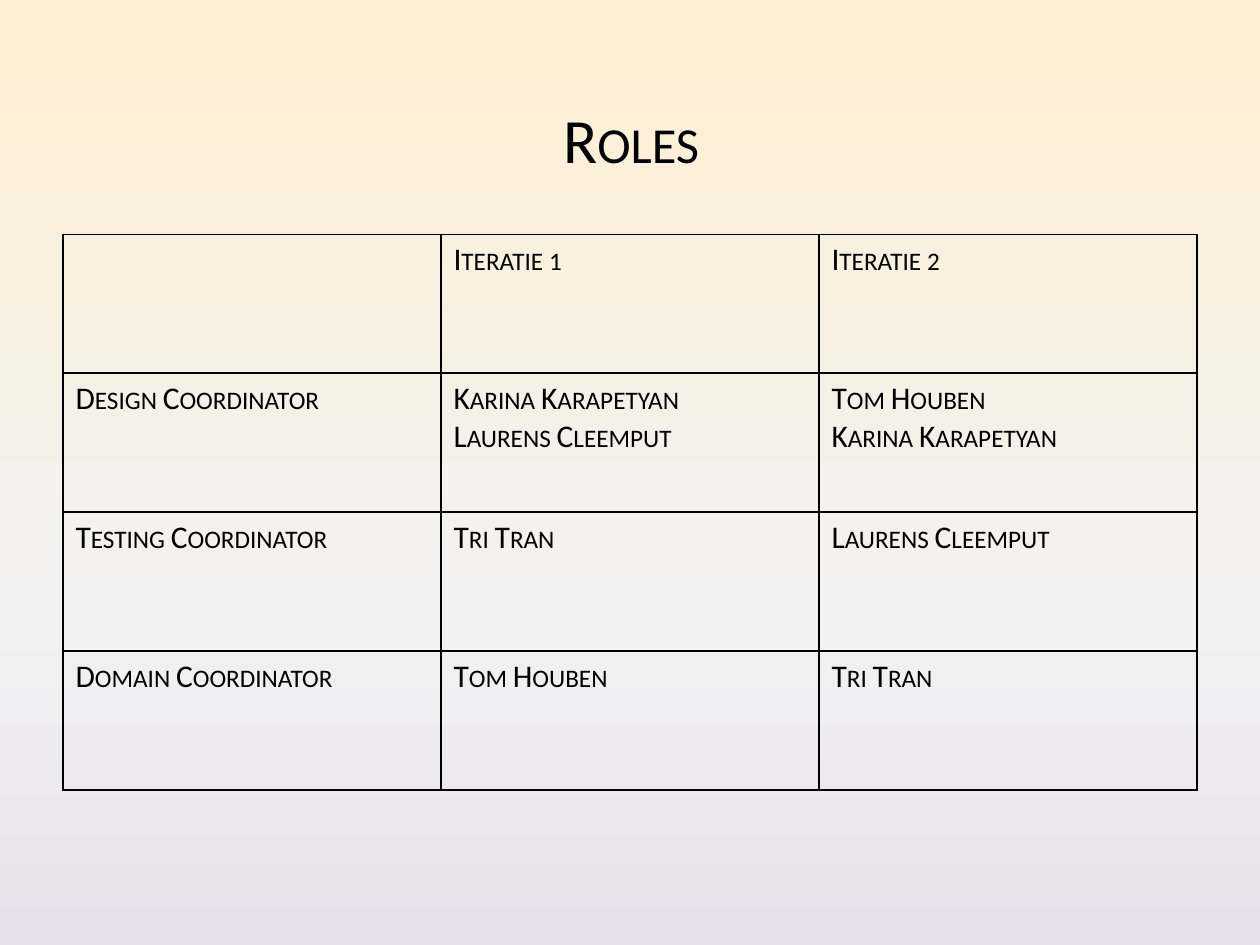
from copy import deepcopy
from dataclasses import dataclass

from lxml.etree import SubElement
from pptx import Presentation
from pptx.dml.color import RGBColor
from pptx.enum.text import MSO_ANCHOR, PP_ALIGN
from pptx.oxml.ns import qn
from pptx.util import Inches, Pt


@dataclass(frozen=True)
class Theme:
    font: str = "Calibri"
    ink: str = "000000"
    title_size: int = 36
    body_size: int = 18
    border_width: int = 1
    # Background stops: position in percent, colour
    background: tuple = ((0, "FFEFD1"), (65, "F2F2F2"), (100, "E6E0EC"))


THEME = Theme()

ROLES = [
    ["", "Iteratie 1", "Iteratie 2"],
    ["Design Coordinator", "Karina Karapetyan\nLaurens Cleemput",
     "Tom Houben\nKarina Karapetyan"],
    ["Testing Coordinator", "Tri Tran", "Laurens Cleemput"],
    ["Domain Coordinator", "Tom Houben", "Tri Tran"],
]


def paint_background(slide):
    fill = slide.background.fill
    fill.gradient()
    fill.gradient_angle = 270  # counter-clockwise: runs top to bottom
    first_stop = fill.gradient_stops[0]._gs
    first_stop.addnext(deepcopy(first_stop))
    for stop, (percent, colour) in zip(fill.gradient_stops, THEME.background):
        stop.position = percent / 100
        stop.color.rgb = RGBColor.from_string(colour)


def style_text(text_frame, size):
    for paragraph in text_frame.paragraphs:
        font = paragraph.font
        font.name = THEME.font
        font.size = Pt(size)
        font.color.rgb = RGBColor.from_string(THEME.ink)
        font._element.set("cap", "small")


def add_title(slide, text):
    title = slide.shapes.add_textbox(
        Inches(0.51), Inches(0.47), Inches(9), Inches(1.25)).text_frame
    title.word_wrap = True
    title.vertical_anchor = MSO_ANCHOR.MIDDLE
    title.text = text
    title.paragraphs[0].alignment = PP_ALIGN.CENTER
    style_text(title, THEME.title_size)


def draw_borders(cell):
    properties = cell._tc.get_or_add_tcPr()
    for side in ("a:lnL", "a:lnR", "a:lnT", "a:lnB"):
        line = SubElement(properties, qn(side), w=str(Pt(THEME.border_width)))
        fill = SubElement(line, qn("a:solidFill"))
        SubElement(fill, qn("a:srgbClr"), val=THEME.ink)


def add_roles_table(slide, rows):
    roles = slide.shapes.add_table(
        len(rows), len(rows[0]),
        Inches(0.5), Inches(1.86), Inches(9), Inches(4.41)).table
    roles.first_row = False
    roles.horz_banding = False
    for row, entries in zip(roles.rows, rows):
        for cell, entry in zip(row.cells, entries):
            cell.text = entry
            style_text(cell.text_frame, THEME.body_size)
            draw_borders(cell)
            cell.fill.background()


def main():
    deck = Presentation()
    deck.slide_width, deck.slide_height = Inches(10), Inches(7.5)
    slide = deck.slides.add_slide(deck.slide_layouts[6])

    paint_background(slide)
    add_roles_table(slide, ROLES)
    add_title(slide, "Roles")

    deck.save("out.pptx")


if __name__ == "__main__":
    main()
